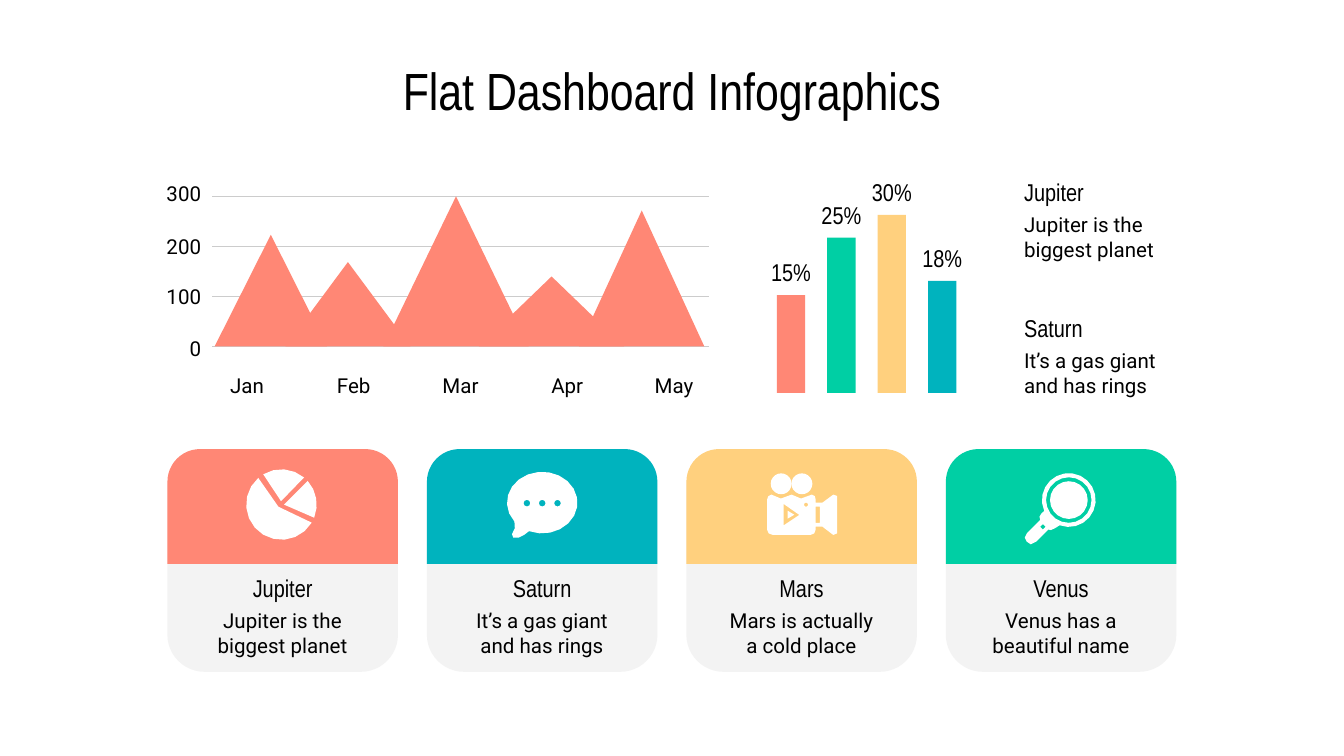
import math
from dataclasses import dataclass

from lxml import etree
from pptx import Presentation
from pptx.dml.color import RGBColor
from pptx.enum import shapes as kinds
from pptx.enum import text as t
from pptx.oxml import ns
from pptx.util import Pt

CORAL, TEAL, YELLOW, GREEN = "FF8775", "00B3BE", "FFD07E", "00CFA4"
WHITE, BLACK, PANEL, GRID = "FFFFFF", "000000", "F3F3F3", "CCCCCC"
HEADING, BODY = "Arial Narrow", "Roboto"
LEFT, CENTER, RIGHT = t.PP_ALIGN.LEFT, t.PP_ALIGN.CENTER, t.PP_ALIGN.RIGHT

Contour = list[tuple[float, float]]
Icon = list[list[Contour]]  # each inner list is one outline with its holes


@dataclass
class Planet:
    name: str
    fact: str


@dataclass
class Card:
    planet: Planet
    color: str
    icon: Icon


@dataclass
class Bar:
    label: str
    top: float
    color: str


@dataclass
class Peak:
    left: float
    top: float
    width: float


def paint(target, color: str) -> None:
    """Give a fill or font the colour of a hex string."""
    if hasattr(target, "solid"):
        target.solid()
        target = target.fore_color
    else:
        target = target.color
    target.rgb = RGBColor.from_string(color)


def write(box, words: str, *, font=BODY, size=11, align=CENTER,
          anchor=t.MSO_ANCHOR.MIDDLE) -> None:
    frame = box.text_frame
    frame.word_wrap = True
    frame.auto_size = t.MSO_AUTO_SIZE.NONE
    frame.vertical_anchor = anchor
    frame.margin_left = frame.margin_right = Pt(7.2)
    frame.margin_top = frame.margin_bottom = Pt(7.2)
    para = frame.paragraphs[0]
    para.alignment = align
    span = para.add_run()
    span.text = words
    span.font.name, span.font.size = font, Pt(size)
    paint(span.font, BLACK)


def add_text(page, words: str, left: float, top: float, width: float,
             height: float, **style) -> None:
    box = page.shapes.add_textbox(Pt(left), Pt(top), Pt(width), Pt(height))
    write(box, words, **style)


def finish(shape, color: str) -> None:
    paint(shape.fill, color)
    shape.line.fill.background()
    shape.shadow.inherit = False


def add_block(page, kind, left: float, top: float, width: float,
              height: float, color: str, adjust: float | None = None) -> None:
    shape = page.shapes.add_shape(kind, Pt(left), Pt(top), Pt(width), Pt(height))
    finish(shape, color)
    if adjust is not None:
        shape.adjustments[0] = adjust


def add_outline(page, contours: list[Contour], color: str) -> None:
    first, *holes = [[(Pt(x), Pt(y)) for x, y in c] for c in contours]
    builder = page.shapes.build_freeform(*first[0])
    builder.add_line_segments(first[1:], close=True)
    for hole in holes:
        builder.move_to(*hole[0])
        builder.add_line_segments(hole[1:], close=True)
    finish(builder.convert_to_shape(), color)


def arc(x: float, y: float, rx: float, ry: float | None = None,
        start: float = 0, end: float = 360) -> Contour:
    """Points along an ellipse, clockwise, with angles in degrees."""
    steps = math.ceil((end - start) / (18 if rx > 5 else 45))
    angles = [math.radians(start + (end - start) * i / steps) for i in range(steps + 1)]
    return [(x + rx * math.cos(a), y + (ry or rx) * math.sin(a)) for a in angles]


def add_caption(page, planet: Planet, left: float, top: float, align) -> None:
    add_text(page, planet.fact, left, top + 16.5, 95.8, 34.6, align=align)
    add_text(page, planet.name, left, top, 95.8, 19.4,
             font=HEADING, size=13, align=align)


def add_card(page, card: Card, left: float) -> None:
    top, width = 240.6, 123.5
    add_block(page, kinds.MSO_SHAPE.ROUNDED_RECTANGLE, left, top, width, 119.3, PANEL, 0.167)
    add_block(page, kinds.MSO_SHAPE.ROUND_2_SAME_RECTANGLE, left, top, width, 61.5,
              card.color, 0.285)
    add_caption(page, card.planet, left + 13.8, 305.3, CENTER)
    for contours in card.icon:
        add_outline(page, contours, WHITE)


def add_grid_line(page, y: float) -> None:
    line = page.shapes.add_connector(kinds.MSO_CONNECTOR.STRAIGHT,
                                     Pt(113.8), Pt(y), Pt(380), Pt(y))
    paint(line.line.fill, GRID)
    line.line.width = Pt(0.75)
    etree.SubElement(line._element.spPr, ns.qn("a:effectLst"))


# Icons
PIE = [[[apex] + arc(150.8, 270.3, 18.9, start=start, end=end)]
       for apex, start, end in [((149.2, 271.5), 31, 229),
                                ((150.6, 268.5), 239, 310),
                                ((152.2, 270.4), 318, 382)]]
BUBBLE = [[arc(290.5, 269.3, 18.9, 16.5, 142, 472)
           + [(280.8, 286.6), (277.9, 288), (275, 288), (274.3, 286.2), (275.8, 283)]]
          + [arc(290.5 + dx, 269.6, 1.8) for dx in (-8.2, 0, 8.2)]]
CAMERA = [
    [[(410.9, 267.8), (411.6, 265.8), (413.3, 265), (418.3, 267.1), (424.1, 265),
      (429.1, 267.1), (434.9, 265), (436.5, 265.8), (437, 267.8), (437, 269.3),
      (440.6, 269.3), (446.4, 265), (448.4, 265.7), (448.4, 285.8), (446.4, 286.6),
      (440.6, 282.2), (437, 282.2), (437, 283.7), (436.2, 285.8), (434.2, 286.6),
      (414, 286.6), (411.8, 285.8), (410.9, 283.7)],
     [(437, 271.4), (439.2, 271.4), (439.2, 280.1), (437, 280.1)],
     [(419.8, 270), (428.2, 275.9), (419.8, 281.5)],
     arc(431.8, 270.4, 1.1)],
    [[(421.9, 273.6), (421.9, 277.9), (425.5, 275.8)]],
    [arc(418.5, 259.2, 5.6)],
    [arc(429.6, 259.2, 5.6)],
]
LENS = [
    [arc(572.6, 267.9, 14.4, start=156, end=470)
     + [(565.2, 283), (563, 284), (561.6, 283.7), (555.1, 290.2), (552.2, 291.6),
        (550.1, 290.2), (549, 288), (550.1, 285.8), (557.3, 278.6), (556.9, 276.8),
        (558, 275)],
     arc(572.6, 267.9, 12.2),
     [(558.7, 280.8), (560.2, 282.2), (558.7, 283.7), (557.3, 282.2)]],
    [arc(572.6, 267.9, 10.1)],
]

# Content
JUPITER = Planet("Jupiter", "Jupiter is the biggest planet")
SATURN = Planet("Saturn", "It’s a gas giant and has rings")
MARS = Planet("Mars", "Mars is actually a cold place")
VENUS = Planet("Venus", "Venus has a beautiful name")
CARDS = [Card(JUPITER, CORAL, PIE), Card(SATURN, TEAL, BUBBLE),
         Card(MARS, YELLOW, CAMERA), Card(VENUS, GREEN, LENS)]
BARS = [Bar("15%", 158.1, CORAL), Bar("25%", 127.3, GREEN),
        Bar("30%", 115.2, YELLOW), Bar("18%", 150.5, TEAL)]
PEAKS = [Peak(115, 125.8, 60.2), Peak(152.9, 140.4, 67), Peak(205.4, 105.2, 77.8),
         Peak(256.6, 148.1, 77.8), Peak(310.3, 112.8, 67)]
AXIS = [("300", 91.6), ("200", 120), ("100", 146.9), ("0", 174.6)]
MONTHS = ["Jan", "Feb", "Mar", "Apr", "May"]


def main() -> None:
    deck = Presentation()
    deck.slide_width, deck.slide_height = Pt(720), Pt(405)
    page = deck.slides.add_slide(deck.slide_layouts[5])

    # Title
    title = page.shapes.title
    title.left, title.top, title.width, title.height = Pt(32.2), Pt(24), Pt(655.2), Pt(45.4)
    write(title, "Flat Dashboard Infographics", font=HEADING, size=28,
          anchor=t.MSO_ANCHOR.TOP)

    # Planet cards
    for i, card in enumerate(CARDS):
        add_card(page, card, 89.7 + 139 * i)

    # Peak chart axes
    for i in range(len(AXIS)):
        add_grid_line(page, 105.3 + 26.8 * i)
    for label, top in AXIS:
        add_text(page, label, 77.5, top, 37.4, 23.8, align=RIGHT)
    for i, month in enumerate(MONTHS):
        add_text(page, month, 113.6 + 57.2 * i, 194.4, 37.4, 23.8)

    # Bars and their captions
    for i, bar in enumerate(BARS):
        add_block(page, kinds.MSO_SHAPE.RECTANGLE, 416.2 + 27 * i, bar.top,
                  15.2, 210.5 - bar.top, bar.color)
    for planet, top in [(SATURN, 165.9), (JUPITER, 92.9)]:
        add_caption(page, planet, 541.6, top, LEFT)
    for i, bar in enumerate(BARS):
        add_text(page, bar.label, 404.3 + 27 * i, bar.top - 22, 38.9, 19.4,
                 font=HEADING, size=13)

    # Peaks
    for peak in PEAKS:
        add_block(page, kinds.MSO_SHAPE.ISOSCELES_TRIANGLE, peak.left, peak.top,
                  peak.width, 185.6 - peak.top, CORAL)

    deck.save("out.pptx")


if __name__ == "__main__":
    main()
